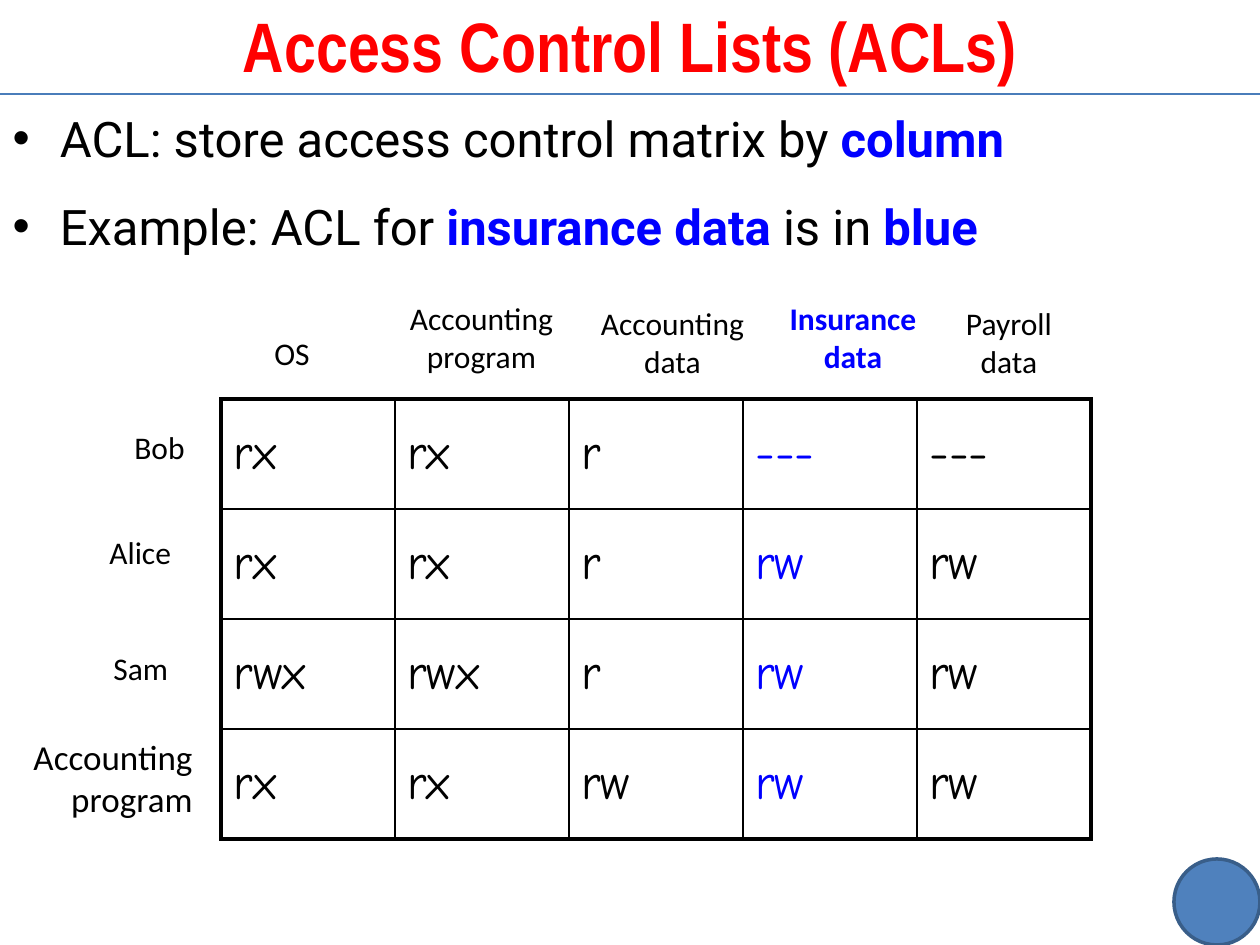
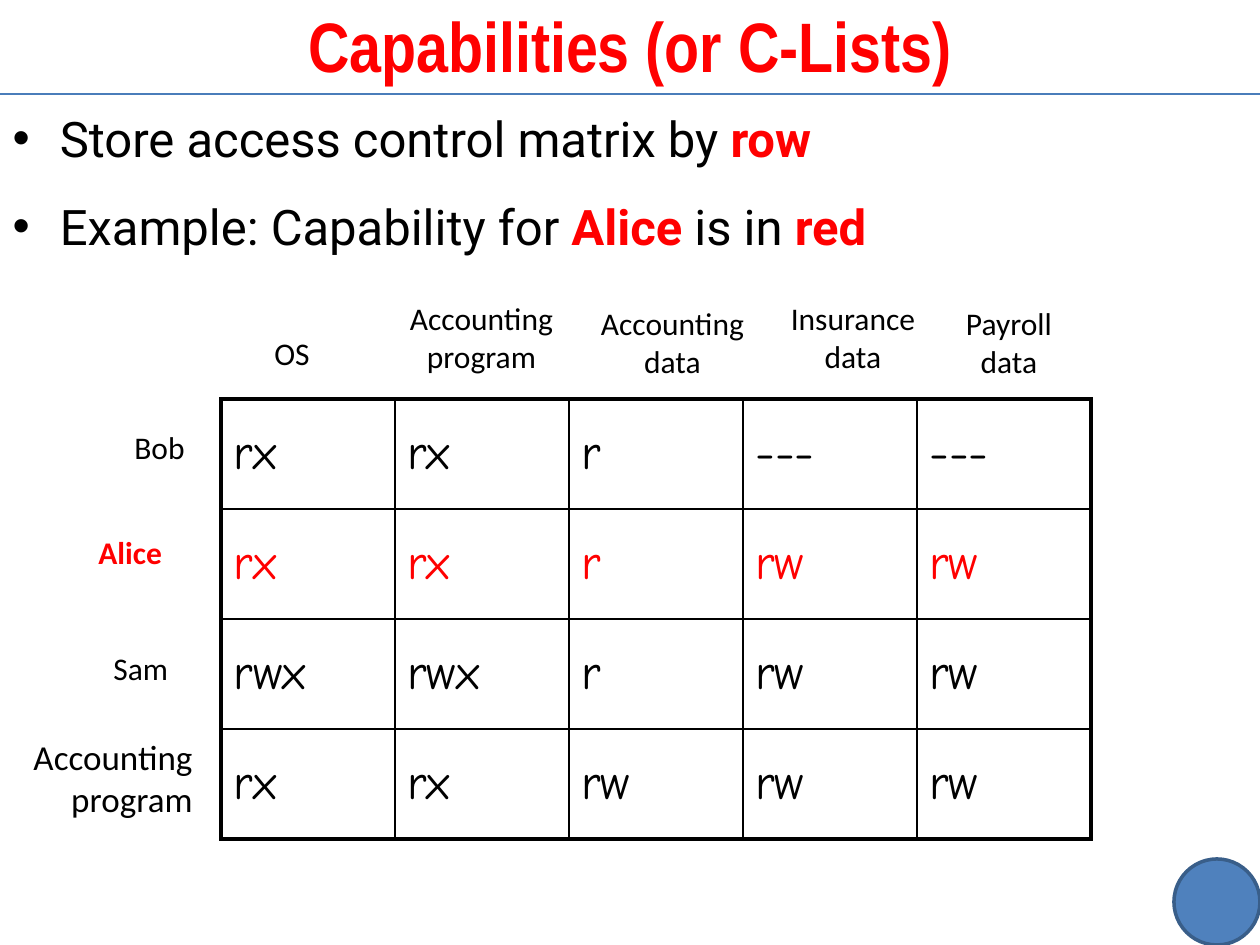
from lxml import etree
from pptx import Presentation
from pptx.dml.color import RGBColor
from pptx.enum import shapes, text
from pptx.oxml import ns
from pptx.util import Pt

PX = 914400 / 126  # EMU in one px
BLACK = RGBColor(0x00, 0x00, 0x00)
RED = RGBColor(0xFF, 0x00, 0x00)
BLUE = RGBColor(0x00, 0x00, 0xFF)
RULE_BLUE = RGBColor(0x4A, 0x7D, 0xBA)
CIRCLE_FILL = RGBColor(0x4F, 0x81, 0xBD)
CIRCLE_LINE = RGBColor(0x39, 0x5E, 0x89)
LEFT, CENTER, RIGHT = text.PP_ALIGN.LEFT, text.PP_ALIGN.CENTER, text.PP_ALIGN.RIGHT

TABLE_LEFT, TABLE_TOP, COLUMN_WIDTH, ROW_HEIGHT = 221, 399, 174, 110
RIGHTS = [
    ["rx", "rx", "r", "---", "---"],
    ["rx", "rx", "r", "rw", "rw"],
    ["rwx", "rwx", "r", "rw", "rw"],
    ["rx", "rx", "rw", "rw", "rw"],
]
# text, left, top, width, height, alignment, size
COLUMN_LABELS = [
    ("OS", 262, 328, 88, 72, LEFT, 18),
    ("Accounting\nprogram", 388, 293, 187, 101, CENTER, 18),
    ("Accounting\ndata", 579, 298, 187, 101, CENTER, 18),
    ("Insurance\ndata", 766, 293, 174, 101, CENTER, 18),
    ("Payroll\ndata", 947, 298, 124, 101, CENTER, 18),
]
ROW_LABELS = [
    ("Bob", 122, 422, 98, 72, LEFT, 18),
    ("Alice", 97, 527, 124, 72, LEFT, 18),
    ("Sam", 101, 643, 108, 72, LEFT, 18),
    ("Accounting\nprogram", 0, 729, 205, 111, RIGHT, 20),
]
# Words between asterisks take the accent colour.
SLIDES = [
    dict(title="Access Control Lists (ACLs)", accent=BLUE, column=3, row=None,
         bullets="ACL: store access control matrix by *column*\n"
                 "Example: ACL for *insurance data* is in *blue*"),
    dict(title="Capabilities (or C-Lists)", accent=RED, column=None, row=1,
         bullets="Store access control matrix by *row*\n"
                 "Example: Capability for *Alice* is in *red*"),
]


def write(frame, content, font="Calibri", size=18, color=BLACK, bold=False,
          align=LEFT, accent=BLACK, line_spacing=1.0, gap=0):
    """Fill a text frame, one paragraph per line; *starred* words are bold in accent."""
    frame.word_wrap = True
    frame.auto_size = text.MSO_AUTO_SIZE.NONE
    for number, line in enumerate(content.split("\n")):
        paragraph = frame.add_paragraph() if number else frame.paragraphs[0]
        paragraph.alignment = align
        paragraph.line_spacing = line_spacing
        paragraph.space_before = Pt(gap if number else 0)
        for part, words in enumerate(line.split("*")):
            if words:
                starred = part % 2 == 1
                run = paragraph.add_run()
                run.text = words
                run.font.name = font
                run.font.size = Pt(size)
                run.font.bold = bold or starred
                run.font.color.rgb = accent if starred else color


def place(shape, *box):
    shape.left, shape.top, shape.width, shape.height = (round(n * PX) for n in box)


presentation = Presentation()
presentation.slide_width = round(1260 * PX)
presentation.slide_height = round(945 * PX)
layout = presentation.slide_layouts[1]

for page in SLIDES:
    slide = presentation.slides.add_slide(layout)

    if page is SLIDES[0]:
        # The circle and the rule are drawn once and moved to the shared layout.
        circle = slide.shapes.add_shape(
            shapes.MSO_SHAPE.FLOWCHART_CONNECTOR, 0, 0, 0, 0)
        place(circle, 1174, 859, 86, 86)
        circle.shadow.inherit = False
        circle.fill.solid()
        circle.fill.fore_color.rgb = CIRCLE_FILL
        circle.line.color.rgb = CIRCLE_LINE
        circle.line.width = Pt(2)
        rule = slide.shapes.add_connector(
            shapes.MSO_CONNECTOR.STRAIGHT, 0, round(94 * PX),
            presentation.slide_width, round(94 * PX))
        rule.line.color.rgb = RULE_BLUE
        rule.line.width = Pt(0.75)
        etree.SubElement(rule.element.spPr, ns.qn("a:effectLst"))
        for shared in (circle, rule):
            layout.shapes.element.append(shared.element)

    title, body = slide.placeholders
    place(title, 0, -4, 1260, 98)
    title.text_frame.vertical_anchor = text.MSO_ANCHOR.MIDDLE
    write(title.text_frame, page["title"], font="Arial Narrow", size=40,
          color=RED, bold=True, align=CENTER)
    place(body, 0, 94, 1260, 851)
    write(body.text_frame, page["bullets"], font="Roboto", size=28,
          accent=page["accent"], line_spacing=1.14, gap=12)

    rows, columns = len(RIGHTS), len(RIGHTS[0])
    frame = slide.shapes.add_table(rows, columns, 0, 0, 0, 0)
    place(frame, TABLE_LEFT, TABLE_TOP, columns * COLUMN_WIDTH, rows * ROW_HEIGHT)
    matrix = frame.table
    matrix.first_row = matrix.horz_banding = False
    for column in matrix.columns:
        column.width = round(COLUMN_WIDTH * PX)
    for r, rights in enumerate(RIGHTS):
        matrix.rows[r].height = round(ROW_HEIGHT * PX)
        for c, right in enumerate(rights):
            cell = matrix.cell(r, c)
            cell.fill.background()
            cell.vertical_anchor = text.MSO_ANCHOR.MIDDLE
            marked = r == page["row"] or c == page["column"]
            write(cell.text_frame, right, font="Comic Neue", size=28,
                  color=page["accent"] if marked else BLACK)
            outer_sides = {"L": c == 0, "R": c == columns - 1,
                           "T": r == 0, "B": r == rows - 1}
            properties = cell._tc.get_or_add_tcPr()
            for position, (side, outer) in enumerate(outer_sides.items()):
                border = etree.Element(ns.qn(f"a:ln{side}"),
                                       w=str(Pt(2.25 if outer else 1)))
                fill = etree.SubElement(border, ns.qn("a:solidFill"))
                etree.SubElement(fill, ns.qn("a:srgbClr"), val=str(BLACK))
                properties.insert(position, border)

    for labels, marked in ((COLUMN_LABELS, page["column"]), (ROW_LABELS, page["row"])):
        for number, (words, left, top, width, height, align, size) in enumerate(labels):
            bold = number == marked
            if bold and labels is ROW_LABELS:
                left -= 11
            label = slide.shapes.add_textbox(0, 0, 0, 0)
            place(label, left, top, width, height)
            write(label.text_frame, words, size=size, align=align, bold=bold,
                  color=page["accent"] if bold else BLACK)

presentation.save("out.pptx")
